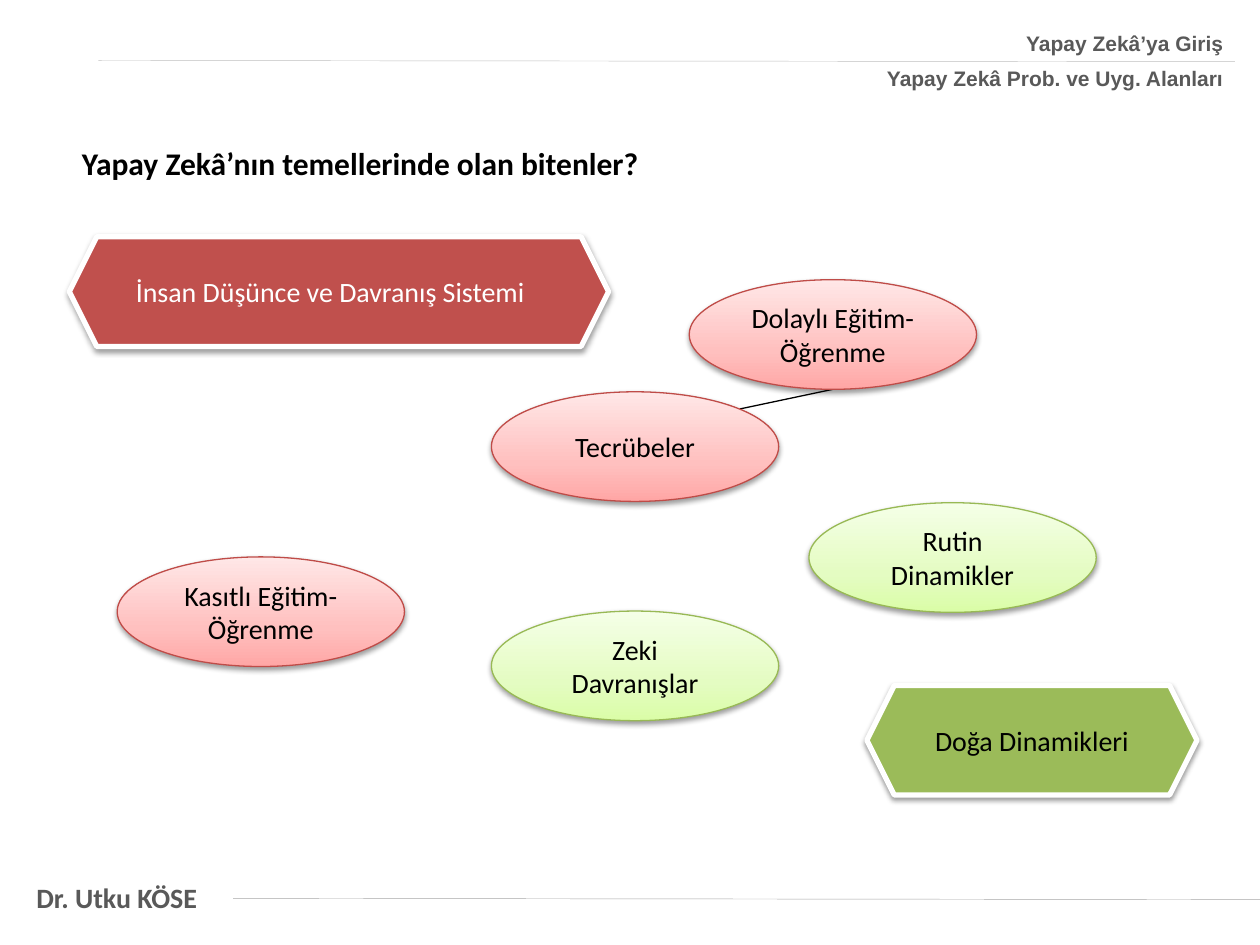
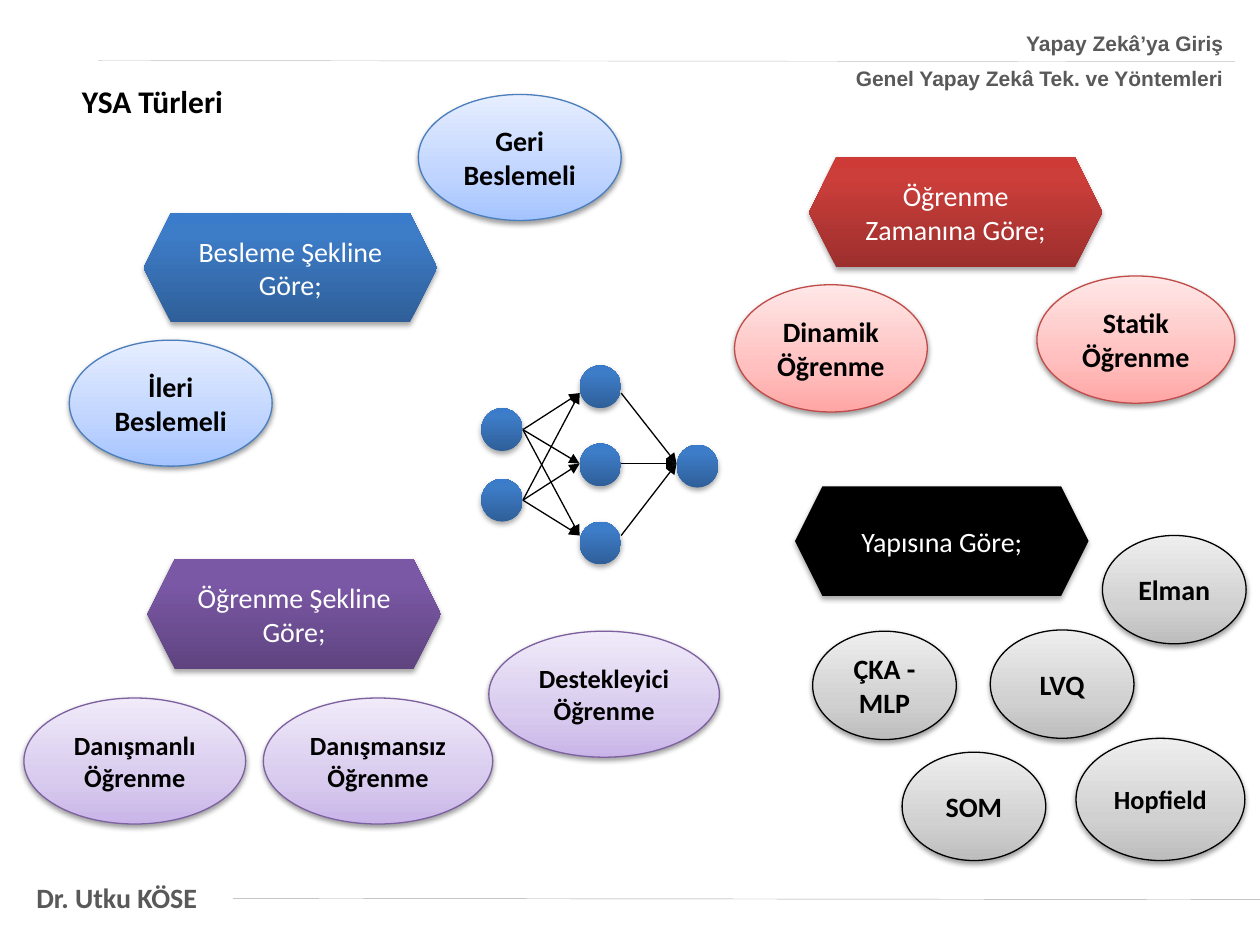
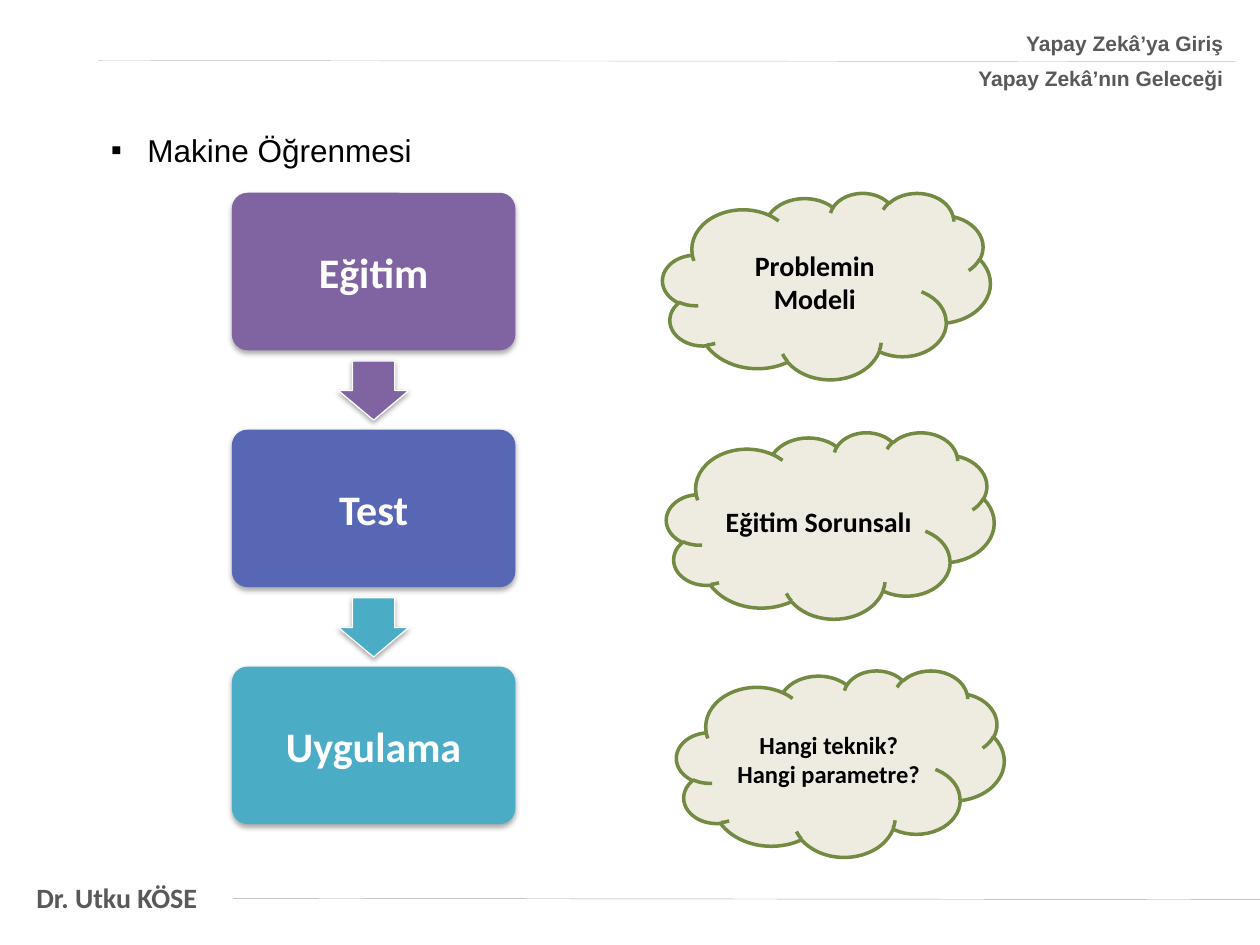
"""Build three slides on artificial intelligence, neural network types and machine learning."""
from collections import namedtuple
from itertools import product

from lxml import etree
from pptx import Presentation
from pptx.dml.color import RGBColor
from pptx.enum.shapes import MSO_CONNECTOR, MSO_SHAPE as Kind
from pptx.enum.text import MSO_ANCHOR as Anchor, MSO_AUTO_SIZE as AutoSize, PP_ALIGN as Align
from pptx.oxml.ns import qn
from pptx.util import Inches, Pt

BLACK = RGBColor(0x00, 0x00, 0x00)
WHITE = RGBColor(0xFF, 0xFF, 0xFF)
GRAY = RGBColor(0x59, 0x59, 0x59)
FOOTER_RULE = RGBColor(0xA6, 0xA6, 0xA6)
HEADER_RULE = RGBColor(0xBF, 0xBF, 0xBF)
RED = RGBColor(0xC0, 0x50, 0x4D)
GREEN = RGBColor(0x9B, 0xBB, 0x59)
PURPLE = RGBColor(0x80, 0x64, 0xA2)
INDIGO = RGBColor(0x57, 0x67, 0xB4)
TEAL = RGBColor(0x4B, 0xAC, 0xC6)
CREAM = RGBColor(0xEE, 0xEC, 0xE1)
OLIVE = RGBColor(0x73, 0x8A, 0x42)
RED_EDGE = RGBColor(0xBF, 0x4C, 0x48)
GREEN_EDGE = RGBColor(0x98, 0xB9, 0x55)
BLUE_EDGE = RGBColor(0x4B, 0x7E, 0xBC)
PURPLE_EDGE = RGBColor(0x7D, 0x60, 0xA0)

PALE_RED = [RGBColor(0xFF, 0xA6, 0xA5), RGBColor(0xFF, 0xC0, 0xBF), RGBColor(0xFF, 0xE7, 0xE7)]
PALE_GREEN = [RGBColor(0xDA, 0xFD, 0xA7), RGBColor(0xE4, 0xFC, 0xC2), RGBColor(0xF5, 0xFF, 0xE7)]
PALE_BLUE = [RGBColor(0xA4, 0xC4, 0xFF), RGBColor(0xBF, 0xD4, 0xFF), RGBColor(0xE6, 0xEE, 0xFF)]
PALE_PURPLE = [RGBColor(0xC9, 0xB5, 0xE8), RGBColor(0xD8, 0xCB, 0xEE), RGBColor(0xF0, 0xEA, 0xF9)]
PALE_GRAY = [RGBColor(0xBD, 0xBD, 0xBD), RGBColor(0xD1, 0xD1, 0xD1), RGBColor(0xEE, 0xEE, 0xEE)]
DEEP_BLUE = [RGBColor(0x2F, 0x5F, 0x99), RGBColor(0x3D, 0x7C, 0xC7), RGBColor(0x3A, 0x7C, 0xCB)]
DEEP_RED = [RGBColor(0x9C, 0x2F, 0x2D), RGBColor(0xCB, 0x3E, 0x3A), RGBColor(0xCE, 0x3B, 0x37)]
DEEP_PURPLE = [RGBColor(0x5F, 0x44, 0x80), RGBColor(0x7B, 0x58, 0xA6), RGBColor(0x7C, 0x57, 0xA8)]

Style = namedtuple("Style", "fill edge weight ink middle shadow", defaults=(35, 38))
RED_BANNER = Style(RED, WHITE, 3, WHITE)
GREEN_BANNER = Style(GREEN, WHITE, 3, BLACK)
RED_OVAL = Style(PALE_RED, RED_EDGE, 0.75, BLACK)
GREEN_OVAL = Style(PALE_GREEN, GREEN_EDGE, 0.75, BLACK)
BLUE_OVAL = Style(PALE_BLUE, BLUE_EDGE, 0.75, BLACK)
PURPLE_OVAL = Style(PALE_PURPLE, PURPLE_EDGE, 0.75, BLACK)
GRAY_OVAL = Style(PALE_GRAY, BLACK, 0.75, BLACK)
CLOUD = Style(CREAM, OLIVE, 2, BLACK, shadow=0)
BLUE_BLOCK, RED_BLOCK, PURPLE_BLOCK, BLACK_BLOCK, TRAINING, TESTING, APPLYING = [
    Style(fill, None, 0, WHITE, 80, 35)
    for fill in (DEEP_BLUE, DEEP_RED, DEEP_PURPLE, BLACK, PURPLE, INDIGO, TEAL)]
TO_TESTING, TO_APPLYING = [Style(fill, WHITE, 0.75, WHITE, shadow=35) for fill in (PURPLE, TEAL)]
ADJUSTMENTS = {Kind.ROUNDED_RECTANGLE: [0.1], Kind.RIGHT_ARROW: [0.6, 0.5]}


def write_text(shape, lines, size, ink, bold=False, align=Align.LEFT, font="Calibri",
               anchor=Anchor.TOP, after=0):
    """Fill a shape with one formatted run per line."""
    frame = shape.text_frame
    frame.word_wrap = True
    frame.auto_size = AutoSize.NONE
    frame.vertical_anchor = anchor
    for index, line in enumerate(lines):
        para = frame.add_paragraph() if index else frame.paragraphs[0]
        para.alignment = align
        para.space_before = Pt(0)
        para.space_after = Pt(after)
        span = para.add_run()
        span.text = line
        span.font.name = font
        span.font.size = Pt(size)
        span.font.bold = bold
        span.font.color.rgb = ink


def draw_line(page, start, end, ink, weight, arrow=False):
    """Draw a straight connector without a shadow."""
    points = [Inches(value) for value in (*start, *end)]
    line = page.shapes.add_connector(MSO_CONNECTOR.STRAIGHT, *points)
    line.line.color.rgb = ink
    line.line.width = Pt(weight)
    properties = line.element.spPr
    if arrow:
        etree.SubElement(properties.find(qn("a:ln")), qn("a:tailEnd"), type="triangle")
    etree.SubElement(properties, qn("a:effectLst"))
    return line


deck = Presentation()
deck.slide_width, deck.slide_height = Inches(10), Inches(7.5)

headings = [
    ("Yapay Zekâ Prob. ve Uyg. Alanları", "Yapay Zekâ’nın temellerinde olan bitenler?",
     (0.55, 1.09, 4.65, 0.4), None),
    ("Genel Yapay Zekâ Tek. ve Yöntemleri", "YSA Türleri", (0.55, 0.6, 4.65, 0.4), None),
    ("Yapay Zekâ’nın Geleceği", "Makine Öğrenmesi", (0.78, 0.99, 6.61, 0.4), "▪"),
]
for topic, heading, place, bullet in headings:
    page = deck.slides.add_slide(deck.slide_layouts[1])
    draw_line(page, (0.78, 0.48), (9.8, 0.49), HEADER_RULE, 0.25)
    title, body = page.placeholders
    title.left, title.top, title.width, title.height = map(Inches, (5.71, 0.19, 4.1, 0.59))
    write_text(title, ["Yapay Zekâ’ya Giriş", topic], 12, GRAY, True, Align.RIGHT, "Arial", after=6)
    body.left, body.top, body.width, body.height = map(Inches, place)
    indent = Inches(0.29) if bullet else 0
    settings = body.text_frame.paragraphs[0]._p.get_or_add_pPr()
    settings.set("marL", str(indent))
    settings.set("indent", str(-indent))
    if bullet:
        etree.SubElement(settings, qn("a:buChar"), char=bullet)
        write_text(body, [heading], 18, BLACK, font="Arial")
    else:
        etree.SubElement(settings, qn("a:buNone"))
        write_text(body, [heading], 18, BLACK, True)

foundations, networks, learning = deck.slides
author = foundations.shapes.add_textbox(Inches(0.19), Inches(6.94), Inches(1.6), Inches(0.37))
write_text(author, ["Dr. Utku KÖSE"], 16, GRAY, True)
footer_rule = draw_line(foundations, (1.85, 7.13), (10, 7.14), FOOTER_RULE, 0.25)
for part in (author, footer_rule):
    deck.slide_master.shapes.element.append(part.element)

draw_line(foundations, (5.71, 3.28), (6.61, 3.09), BLACK, 0.75)
inputs, hidden = (3.41, 3.97), (3.12, 3.68, 4.25)
for start, end in product(inputs, hidden):
    draw_line(networks, (4.15, start), (4.6, end), BLACK, 0.75, True)
for start in hidden:
    draw_line(networks, (4.93, start), (5.37, 3.68), BLACK, 0.75, True)

neurons = [(3.82, 3.24), (3.82, 3.8), (4.6, 2.9), (4.6, 3.52), (4.6, 4.14), (5.37, 3.53)]
groups = [
    (foundations, Kind.HEXAGON, RED_BANNER, 16, False,
     [(0.55, 1.88, 4.28, 0.87, "İnsan Düşünce ve Davranış Sistemi")]),
    (foundations, Kind.HEXAGON, GREEN_BANNER, 16, False,
     [(6.88, 5.44, 2.62, 0.87, "Doğa Dinamikleri")]),
    (foundations, Kind.OVAL, RED_OVAL, 16, False,
     [(0.93, 4.42, 2.28, 0.87, "Kasıtlı Eğitim-Öğrenme"),
      (3.9, 3.11, 2.28, 0.87, "Tecrübeler"),
      (5.47, 2.22, 2.28, 0.87, "Dolaylı Eğitim-Öğrenme")]),
    (foundations, Kind.OVAL, GREEN_OVAL, 16, False,
     [(3.9, 4.85, 2.28, 0.87, "Zeki Davranışlar"),
      (6.42, 3.99, 2.28, 0.87, "Rutin Dinamikler")]),
    (networks, Kind.FLOWCHART_CONNECTOR, BLUE_BLOCK, 16, False,
     [(left, top, 0.33, 0.34, "") for left, top in neurons]),
    (networks, Kind.HEXAGON, BLUE_BLOCK, 16, False,
     [(1.14, 1.69, 2.33, 0.87, "Besleme Şekline Göre;")]),
    (networks, Kind.OVAL, BLUE_OVAL, 16, True,
     [(0.55, 2.7, 1.61, 1, "İleri Beslemeli"), (3.32, 0.75, 1.61, 1, "Geri Beslemeli")]),
    (networks, Kind.HEXAGON, RED_BLOCK, 16, False,
     [(6.42, 1.25, 2.33, 0.87, "Öğrenme Zamanına Göre;")]),
    (networks, Kind.OVAL, RED_OVAL, 16, True,
     [(5.83, 2.26, 1.53, 1.01, "Dinamik Öğrenme"), (8.23, 2.19, 1.57, 1.01, "Statik Öğrenme")]),
    (networks, Kind.HEXAGON, PURPLE_BLOCK, 16, False,
     [(1.17, 4.44, 2.33, 0.87, "Öğrenme Şekline Göre;")]),
    (networks, Kind.OVAL, PURPLE_OVAL, 15, True,
     [(0.19, 5.54, 1.76, 1, "Danışmanlı Öğrenme"),
      (2.09, 5.54, 1.82, 1, "Danışmansız Öğrenme"),
      (3.88, 5.01, 1.83, 1, "Destekleyici Öğrenme")]),
    (networks, Kind.HEXAGON, BLACK_BLOCK, 16, False,
     [(6.31, 3.86, 2.33, 0.87, "Yapısına Göre;")]),
    (networks, Kind.OVAL, GRAY_OVAL, 16, True,
     [(6.45, 5.01, 1.14, 0.86, "ÇKA - MLP"), (7.86, 5, 1.14, 0.86, "LVQ"),
      (8.75, 4.25, 1.14, 0.86, "Elman"), (7.16, 5.97, 1.14, 0.86, "SOM")]),
    (networks, Kind.OVAL, GRAY_OVAL, 15, True, [(8.54, 5.86, 1.34, 0.97, "Hopfield")]),
    (learning, Kind.CLOUD, CLOUD, 16, True,
     [(5.26, 1.53, 2.6, 1.48, "Problemin Modeli"), (5.29, 3.43, 2.6, 1.48, "Eğitim Sorunsalı")]),
    (learning, Kind.CLOUD, CLOUD, 14, True,
     [(5.37, 5.32, 2.6, 1.48, "Hangi teknik?\nHangi parametre?")]),
]
stages = [("Eğitim", TRAINING), ("Test", TESTING), ("Uygulama", APPLYING)]
for index, (stage, style) in enumerate(stages):
    groups.append((learning, Kind.ROUNDED_RECTANGLE, style, 24, True,
                   [(1.84, 1.53 + 1.88 * index, 2.25, 1.25, stage)]))
for index, style in enumerate([TO_TESTING, TO_APPLYING]):
    groups.append((learning, Kind.RIGHT_ARROW, style, 16, False,
                   [(2.73, 2.82 + 1.88 * index, 0.47, 0.56, "")]))

for page, kind, style, size, bold, items in groups:
    for *place, text in items:
        shape = page.shapes.add_shape(kind, *map(Inches, place))
        for index, value in enumerate(ADJUSTMENTS.get(kind, [])):
            shape.adjustments[index] = value
        if kind == Kind.RIGHT_ARROW:
            shape.rotation = 90
        if isinstance(style.fill, list):
            shape.fill.gradient()
            shape.fill.gradient_angle = 90
            stops = shape.element.spPr.find(".//" + qn("a:gsLst"))
            stops[:] = []
            for position, color in zip((0, style.middle, 100), style.fill):
                stop = etree.SubElement(stops, qn("a:gs"), pos=str(position * 1000))
                etree.SubElement(stop, qn("a:srgbClr"), val=str(color))
        else:
            shape.fill.solid()
            shape.fill.fore_color.rgb = style.fill
        if style.edge is None:
            shape.line.fill.background()
        else:
            shape.line.color.rgb = style.edge
            shape.line.width = Pt(style.weight)
        shape.shadow.inherit = False
        if style.shadow:
            effects = shape.element.spPr.find(qn("a:effectLst"))
            shadow = etree.SubElement(effects, qn("a:outerShdw"), blurRad=str(Pt(3.1)),
                                      dist=str(Pt(1.6)), dir="5400000", rotWithShape="0")
            color = etree.SubElement(shadow, qn("a:srgbClr"), val=str(BLACK))
            etree.SubElement(color, qn("a:alpha"), val=str(style.shadow * 1000))
        if text:
            align = Align.LEFT if style is RED_BANNER else Align.CENTER
            write_text(shape, text.split("\n"), size, style.ink, bold, align, anchor=Anchor.MIDDLE)

deck.save("out.pptx")
